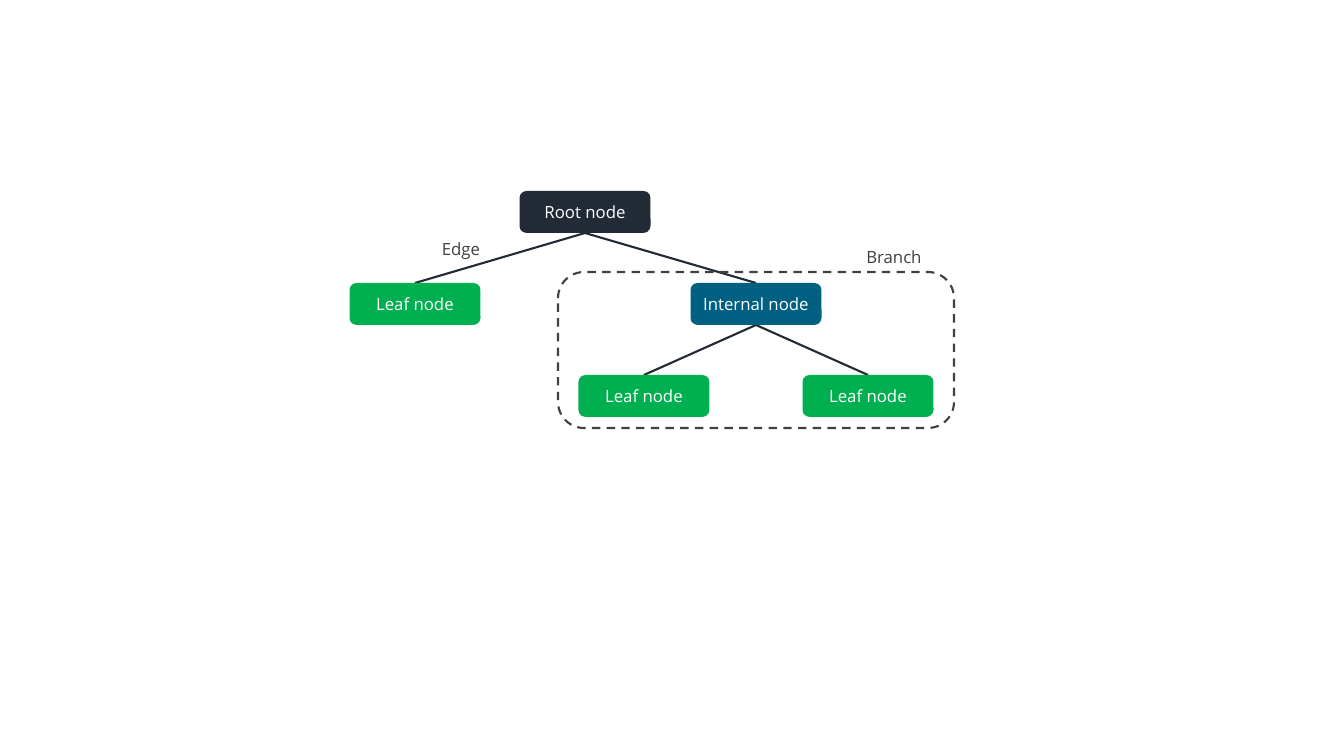
from pptx import Presentation
from pptx.dml.color import RGBColor
from pptx.enum.dml import MSO_LINE
from pptx.enum.shapes import MSO_CONNECTOR, MSO_SHAPE
from pptx.enum.text import MSO_ANCHOR, MSO_AUTO_SIZE, PP_ALIGN
from pptx.oxml.ns import qn
from pptx.util import Pt
from lxml.etree import SubElement

SCALE = 12192000 / 1344
COLORS = {
    "root": "222A35",
    "leaf": "00B050",
    "inner": "006082",
    "gray": "404040",
    "white": "FFFFFF",
}
NODE_W, NODE_H = 131, 42
TOP, STEP = 191, 92
NODES = {
    "root": ("Root node", "root", 585, 0),
    "left": ("Leaf node", "leaf", 415, 1),
    "inner": ("Internal node", "inner", 756, 1),
    "right": ("Leaf node", "leaf", 868, 2),
    "mid": ("Leaf node", "leaf", 644, 2),
}
EDGES = [("root", "left"), ("root", "inner"), ("inner", "mid"), ("inner", "right")]


def px(*sizes):
    return [round(size * SCALE) for size in sizes]


def color(name):
    return RGBColor.from_string(COLORS[name])


def write(frame, text, size=12, font="Open Sans", ink="white"):
    frame.word_wrap = True
    para = frame.paragraphs[0]
    para.alignment = PP_ALIGN.CENTER
    run = para.add_run()
    run.text = text
    run.font.size = Pt(size)
    run.font.name = font
    run.font.color.rgb = color(ink)


def stroke(shape, ink):
    shape.line.color.rgb = color(ink)
    shape.line.width = Pt(1.5)


def row_top(row):
    return TOP + row * STEP


def add_edge(group, start, end):
    _, _, x1, row1 = NODES[start]
    _, _, x2, row2 = NODES[end]
    ends = px(x1, row_top(row1) + NODE_H, x2, row_top(row2))
    edge = group.add_connector(MSO_CONNECTOR.STRAIGHT, *ends)
    stroke(edge, "root")
    SubElement(edge._element.spPr, qn("a:effectLst"))


def add_box(group, *place):
    box = group.add_shape(MSO_SHAPE.ROUNDED_RECTANGLE, *px(*place))
    box.shadow.inherit = False
    return box


def add_node(group, text, fill, center, row):
    node = add_box(group, center - NODE_W / 2, row_top(row), NODE_W, NODE_H)
    node.fill.solid()
    node.fill.fore_color.rgb = color(fill)
    node.line.fill.background()
    node.text_frame.vertical_anchor = MSO_ANCHOR.MIDDLE
    write(node.text_frame, text)


def add_label(group, text, left, top):
    label = group.add_textbox(*px(left, top, 80, 30))
    write(label.text_frame, text, ink="gray")
    label.text_frame.auto_size = MSO_AUTO_SIZE.SHAPE_TO_FIT_TEXT


def add_branch(group):
    frame = add_box(group, 558, 272, 396, 156)
    frame.fill.background()
    stroke(frame, "gray")
    frame.line.dash_style = MSO_LINE.DASH


def main():
    deck = Presentation()
    deck.slide_width, deck.slide_height = px(1344, 756)
    slide = deck.slides.add_slide(deck.slide_layouts[6])
    tree = slide.shapes.add_group_shape().shapes
    for start, end in EDGES:
        add_edge(tree, start, end)
    for node in NODES.values():
        add_node(tree, *node)
    add_label(tree, "Edge", 421, 234)
    add_branch(tree)
    add_label(tree, "Branch", 854, 242)
    deck.save("out.pptx")


if __name__ == "__main__":
    main()
